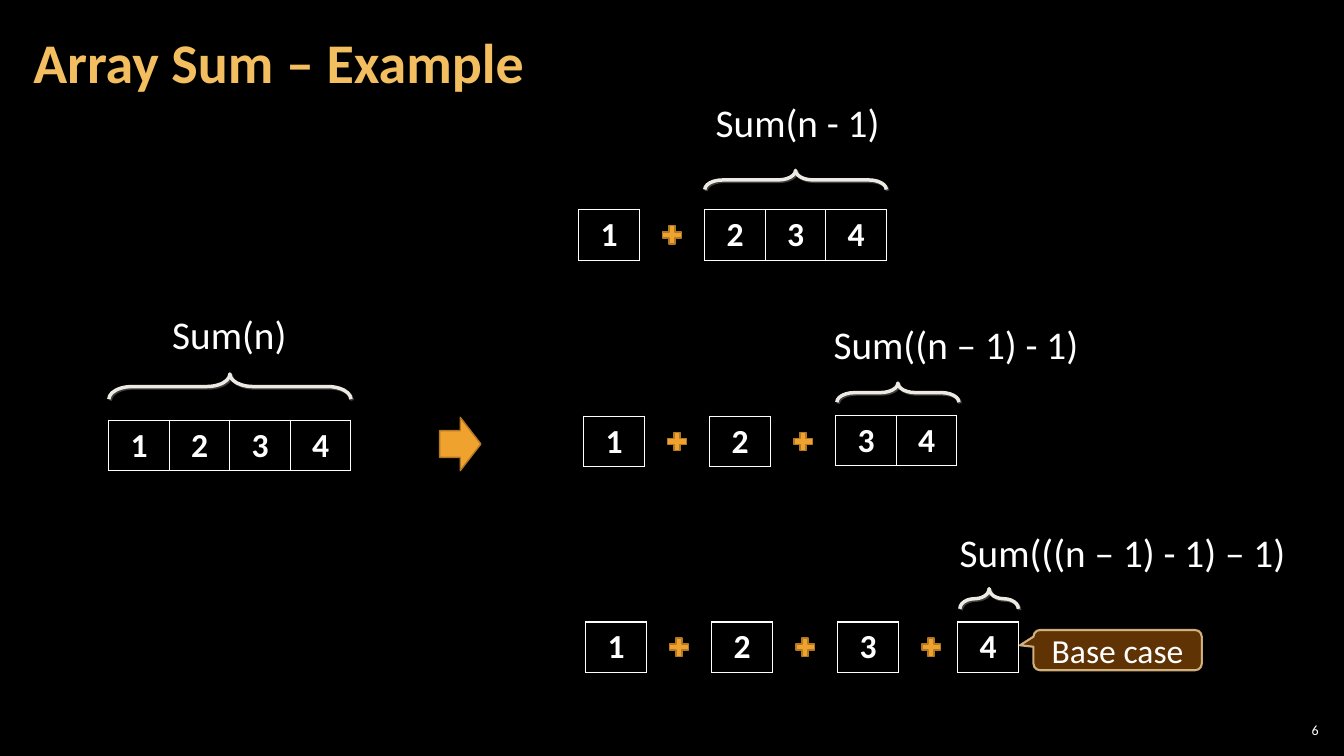
"""Build the slide that unfolds a recursive array sum step by step."""
from dataclasses import dataclass

from lxml import etree
from pptx import Presentation
from pptx import util as u
from pptx.dml.color import RGBColor
from pptx.enum import shapes, text
from pptx.oxml import ns

BLACK = RGBColor(0x00, 0x00, 0x00)
WHITE = RGBColor(0xFF, 0xFF, 0xFF)
GOLD = RGBColor(0xF3, 0xBE, 0x60)
ORANGE = RGBColor(0xF0, 0xA2, 0x2E)
OCHRE = RGBColor(0xB2, 0x78, 0x22)
BROWN = RGBColor(0x66, 0x36, 0x06)
SAND = RGBColor(0xF8, 0xD4, 0x9E)
IVORY = RGBColor(0xEC, 0xEA, 0xE3)
SHADOW = RGBColor(0x40, 0x40, 0x40)

FONT = "Calibri"
CELL_WIDTH = 0.6
CELL_HEIGHT = 0.5
PLUS_SIZE = 0.25
PLUS_OFFSET = 0.8


@dataclass(frozen=True)
class Array:
    left: float
    top: float
    values: str
    plus_after: bool = False


@dataclass(frozen=True)
class Call:
    label: str
    left: float
    top: float
    width: float
    brace_left: float
    brace_top: float
    brace_span: float
    brace_depth: float


ARRAYS = [
    Array(1.08, 4.17, "1234"),
    Array(5.74, 2.08, "1", True),
    Array(6.99, 2.08, "234"),
    Array(5.79, 4.13, "1", True),
    Array(7.04, 4.13, "2", True),
    Array(8.29, 4.12, "34"),
    Array(5.81, 6.17, "1", True),
    Array(7.06, 6.17, "2", True),
    Array(8.31, 6.17, "3", True),
    Array(9.5, 6.17, "4"),
]

CALLS = [
    Call("Sum(n)", 1.61, 3.03, 1.35, 1.08, 3.71, 2.4, 0.25),
    Call("Sum(n - 1)", 7, 0.93, 1.85, 6.99, 1.69, 1.8, 0.19),
    Call("Sum((n – 1) - 1)", 8.17, 3.13, 2.66, 8.3, 3.8, 1.21, 0.19),
    Call("Sum(((n – 1) - 1) – 1)", 9.42, 5.19, 3.59, 9.52, 5.84, 0.58, 0.2),
]


def add_tag(parent, tag: str, **attributes: str):
    return etree.SubElement(parent, ns.qn(tag), attributes)


def place(box, left: float, top: float, width: float, height: float) -> None:
    box.left, box.top = u.Inches(left), u.Inches(top)
    box.width, box.height = u.Inches(width), u.Inches(height)


def write(frame, words: str, size: float, align, color=WHITE, bold=False) -> None:
    frame.text = words
    para = frame.paragraphs[0]
    para.alignment = align
    font = para.runs[0].font
    font.name, font.size, font.bold = FONT, u.Pt(size), bold
    font.color.rgb = color


def add_text(page, left: float, top: float, width: float, height: float):
    box = page.shapes.add_textbox(0, 0, 0, 0)
    place(box, left, top, width, height)
    return box.text_frame


def add_figure(page, kind, left: float, top: float, width: float, height: float,
               fill=ORANGE, line=OCHRE, weight: float = 1):
    figure = page.shapes.add_shape(kind, 0, 0, 0, 0)
    place(figure, left, top, width, height)
    figure.shadow.inherit = False
    if fill is None:
        figure.fill.background()
    else:
        figure.fill.solid()
        figure.fill.fore_color.rgb = fill
    figure.line.color.rgb = line
    figure.line.width = u.Pt(weight)
    return figure


def add_array(page, array: Array) -> None:
    count = len(array.values)
    table = page.shapes.add_table(
        1, count, u.Inches(array.left), u.Inches(array.top),
        u.Inches(CELL_WIDTH * count), u.Inches(CELL_HEIGHT)).table
    table.first_row = table.horz_banding = False
    for column, value in enumerate(array.values):
        table.columns[column].width = u.Inches(CELL_WIDTH)
        cell = table.cell(0, column)
        write(cell.text_frame, value, 24, text.PP_ALIGN.CENTER, bold=True)
        properties = cell._tc.get_or_add_tcPr()
        for side in "LRTB":
            border = add_tag(properties, f"a:ln{side}", w=str(u.Pt(1)))
            add_tag(add_tag(border, "a:solidFill"), "a:srgbClr", val=str(WHITE))
        cell.fill.background()
    if array.plus_after:
        add_figure(page, shapes.MSO_SHAPE.MATH_PLUS, array.left + PLUS_OFFSET,
                   array.top + (CELL_HEIGHT - PLUS_SIZE) / 2, PLUS_SIZE, PLUS_SIZE)


def add_call(page, call: Call) -> None:
    frame = add_text(page, call.left, call.top, call.width, 0.57)
    frame.word_wrap = False
    frame.auto_size = text.MSO_AUTO_SIZE.SHAPE_TO_FIT_TEXT
    write(frame, call.label, 28, text.PP_ALIGN.LEFT)

    shift = (call.brace_span - call.brace_depth) / 2
    brace = add_figure(page, shapes.MSO_SHAPE.LEFT_BRACE, call.brace_left + shift,
                       call.brace_top - shift, call.brace_depth, call.brace_span,
                       None, IVORY, 2.5)
    brace.rotation = 90
    brace.adjustments[0] = 0.92
    effects = brace._element.spPr.find(ns.qn("a:effectLst"))
    shadow = add_tag(effects, "a:outerShdw", dist=str(u.Pt(1.4)), dir="2700000",
                     algn="ctr", rotWithShape="0")
    add_tag(shadow, "a:srgbClr", val=str(SHADOW))


def add_base_case(page) -> None:
    callout = add_figure(page, shapes.MSO_SHAPE.ROUNDED_RECTANGULAR_CALLOUT,
                         10.25, 6.25, 1.67, 0.4, BROWN, SAND, 1.5)
    callout.adjustments[0], callout.adjustments[1] = -0.58, -0.12
    colors = callout._element.spPr.findall(".//" + ns.qn("a:srgbClr"))
    for color, opacity in zip(colors, ("95000", "80000")):
        add_tag(color, "a:alpha", val=opacity)
    frame = callout.text_frame
    frame.vertical_anchor = text.MSO_ANCHOR.MIDDLE
    write(frame, "Base case", 24, text.PP_ALIGN.CENTER)


def add_heading(page) -> None:
    title = page.shapes.title
    place(title, 0.21, 0.04, 10.47, 1.21)
    frame = title.text_frame
    frame.vertical_anchor = text.MSO_ANCHOR.MIDDLE
    frame.margin_left = frame.margin_right = u.Inches(0.12)
    frame.margin_top = frame.margin_bottom = u.Inches(0.04)
    write(frame, "Array Sum – Example", 40, text.PP_ALIGN.LEFT, GOLD, True)
    frame.paragraphs[0].line_spacing = 0.9


def add_page_number(page) -> None:
    frame = add_text(page, 12.65, 7.14, 0.47, 0.21)
    frame.word_wrap = True
    frame.vertical_anchor = text.MSO_ANCHOR.MIDDLE
    frame.margin_left = frame.margin_right = u.Inches(0.04)
    frame.margin_top = frame.margin_bottom = u.Inches(0.04)
    write(frame, "6", 10, text.PP_ALIGN.RIGHT)


def main() -> None:
    deck = Presentation()
    deck.slide_width, deck.slide_height = u.Inches(13.33), u.Inches(7.5)
    page = deck.slides.add_slide(deck.slide_layouts.get_by_name("Title Only"))
    page.background.fill.solid()
    page.background.fill.fore_color.rgb = BLACK
    add_heading(page)
    add_page_number(page)
    for array in ARRAYS:
        add_array(page, array)
    add_figure(page, shapes.MSO_SHAPE.RIGHT_ARROW, 4.36, 4.14, 0.41, 0.53)
    add_base_case(page)
    for call in CALLS:
        add_call(page, call)
    deck.save("out.pptx")


if __name__ == "__main__":
    main()
